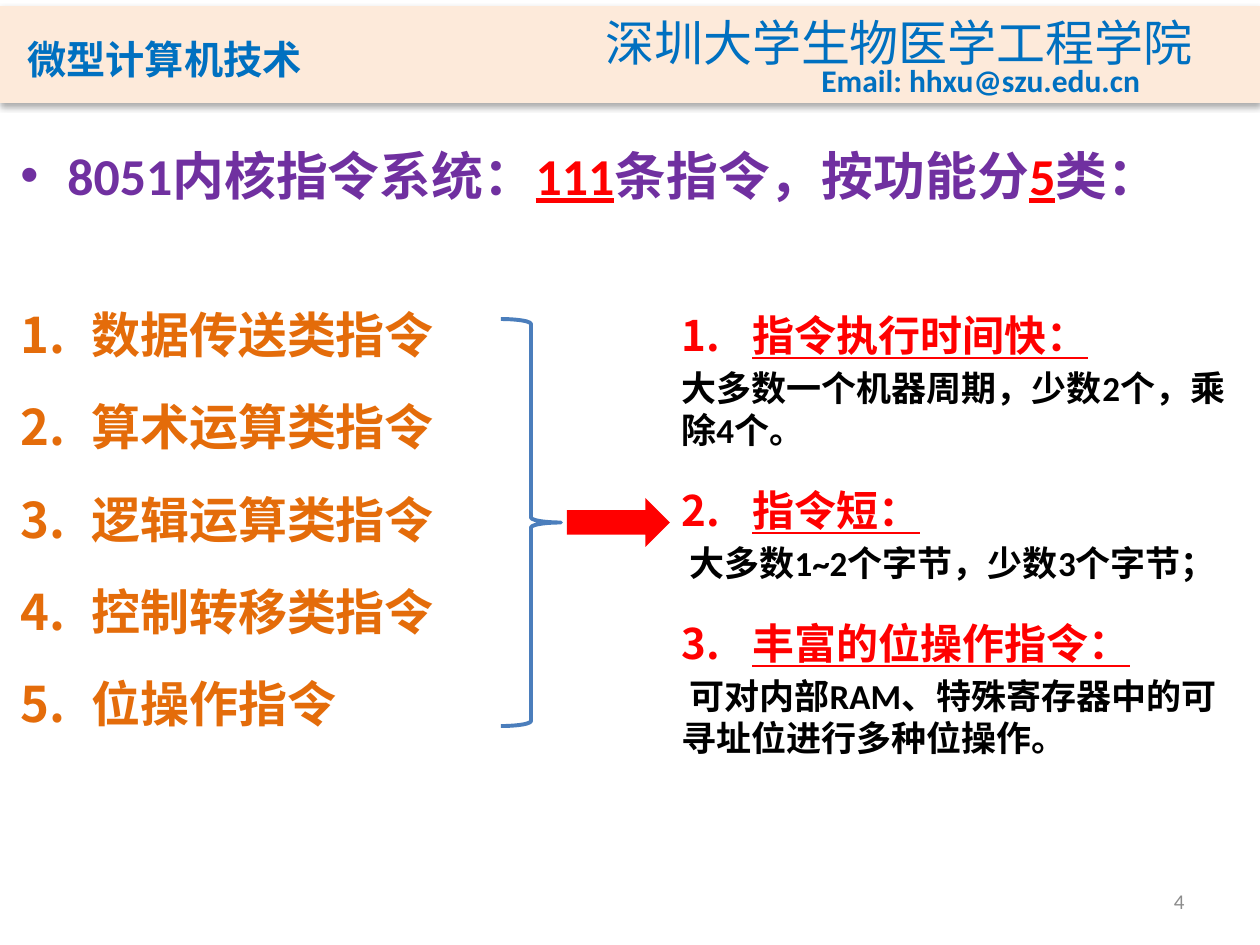
from lxml import etree
from pptx import Presentation
from pptx import util as u
from pptx.dml.color import RGBColor
from pptx.enum import shapes, text
from pptx.oxml import parse_xml
from pptx.oxml.ns import nsdecls, qn

PX = 914400 / 126
COLORS = {
    "band": "FDEADA", "blue": "0070C0", "purple": "7030A0", "red": "FF0000",
    "orange": "E46C0A", "black": "000000", "gray": "8C8C8C", "brace": "4B7EBC",
}


def emu(*lengths):
    return [u.Emu(round(length * PX)) for length in lengths]


def write(para, content, size, color, font="Calibri", bold=True, underline=False,
          caps=None, align=None, spacing=None, before=0, indent=0, bullet=None, start=1):
    """Fill a paragraph; content is a string or (text, color, underline) spans."""
    if isinstance(content, str):
        content = [(content, color, underline)]
    for words, shade, underlined in content:
        span = para.add_run()
        span.text = words
        span.font.size = u.Pt(size)
        span.font.name = font
        span.font.bold = bold
        span.font.underline = underlined
        span.font.color.rgb = RGBColor.from_string(COLORS[shade])
        props = span._r.get_or_add_rPr()
        if font != "Calibri":
            etree.SubElement(props, qn("a:ea")).set("typeface", font)
        if caps:
            props.set("cap", caps)
    para.alignment = align
    para.line_spacing = spacing
    para.space_before = u.Pt(before)
    if bullet:
        props = para._p.get_or_add_pPr()
        margin = emu(indent)[0]
        props.set("marL", str(margin))
        props.set("indent", str(-margin))
        if bullet == "number":
            mark = etree.SubElement(props, qn("a:buAutoNum"), type="arabicPeriod")
            if start > 1:
                mark.set("startAt", str(start))
        else:
            etree.SubElement(props, qn("a:buFont"), typeface="Arial")
            etree.SubElement(props, qn("a:buChar"), char=bullet)


deck = Presentation()
deck.slide_width, deck.slide_height = emu(1260, 945)
page = deck.slides.add_slide(deck.slide_layouts[6])

# Header band
band = page.shapes.add_shape(shapes.MSO_SHAPE.RECTANGLE, *emu(0, 6, 1260, 97))
band.fill.solid()
band.fill.fore_color.rgb = RGBColor.from_string(COLORS["band"])
band.line.fill.background()
band._element.spPr.append(parse_xml(
    f'<a:effectLst {nsdecls("a")}><a:outerShdw blurRad="44450" dist="27940" '
    'dir="5400000" rotWithShape="0"><a:srgbClr val="000000"><a:alpha val="32000"/>'
    '</a:srgbClr></a:outerShdw></a:effectLst>'))

# Single-line texts
NO_FIT, GROW = text.MSO_AUTO_SIZE.NONE, text.MSO_AUTO_SIZE.SHAPE_TO_FIT_TEXT
TOP, MIDDLE, BOTTOM = text.MSO_ANCHOR.TOP, text.MSO_ANCHOR.MIDDLE, text.MSO_ANCHOR.BOTTOM
heading = [
    ("8051内核指令系统：", "purple", False), ("111", "red", True),
    ("条指令，按功能分", "purple", False), ("5", "red", True), ("类：", "purple", False),
]
lines = [
    ((15, 20, 427, 71), BOTTOM, NO_FIT, "微型计算机技术",
     dict(size=28, color="blue", font="Noto Sans CJK JP", caps="small")),
    ((593, 6, 619, 72), TOP, GROW, "深圳大学生物医学工程学院",
     dict(size=28, color="blue", font="Noto Sans CJK SC", bold=False)),
    ((809, 55, 346, 50), TOP, GROW, "Email: hhxu@szu.edu.cn", dict(size=18, color="blue")),
    ((8, 106, 1186, 118), TOP, NO_FIT, heading,
     dict(size=29.6, color="purple", spacing=1.5, before=5.9, indent=47, bullet="•")),
    ((903, 876, 294, 50), MIDDLE, NO_FIT, "4",
     dict(size=12, color="gray", bold=False, align=text.PP_ALIGN.RIGHT)),
]
for place, anchor, fit, content, style in lines:
    frame = page.shapes.add_textbox(*emu(*place)).text_frame
    frame.word_wrap = fit == NO_FIT
    frame.auto_size = fit
    frame.vertical_anchor = anchor
    write(frame.paragraphs[0], content, **style)

# Arrow and brace between the two lists
arrow = page.shapes.add_shape(shapes.MSO_SHAPE.RIGHT_ARROW, *emu(567, 498, 103, 49))
arrow.shadow.inherit = False
arrow.fill.solid()
arrow.fill.fore_color.rgb = RGBColor.from_string(COLORS["red"])
arrow.line.fill.background()

brace = page.shapes.add_shape(shapes.MSO_SHAPE.RIGHT_BRACE, *emu(501, 319, 60, 407))
brace.shadow.inherit = False
brace.fill.background()
brace.line.color.rgb = RGBColor.from_string(COLORS["brace"])
brace.line.width = u.Pt(2.25)

# Features on the right
features = [
    ("指令执行时间快：", "大多数一个机器周期，少数2个，乘除4个。"),
    ("指令短：", " 大多数1~2个字节，少数3个字节；"),
    ("丰富的位操作指令：", " 可对内部RAM、特殊寄存器中的可寻址位进行多种位操作。"),
]
frame = page.shapes.add_textbox(*emu(669, 278, 571, 486)).text_frame
frame.word_wrap = True
for number, (title, detail) in enumerate(features, 1):
    para = frame.paragraphs[0] if number == 1 else frame.add_paragraph()
    write(para, title, size=24, color="red", underline=True, spacing=1.5,
          before=4.8, indent=71, bullet="number", start=number)
    write(frame.add_paragraph(), detail, size=20, color="black", before=4)

# Instruction classes on the left
classes = ["数据传送类指令", "算术运算类指令", "逻辑运算类指令", "控制转移类指令", "位操作指令"]
frame = page.shapes.add_textbox(*emu(8, 275, 524, 491)).text_frame
frame.word_wrap = True
for number, name in enumerate(classes, 1):
    para = frame.paragraphs[0] if number == 1 else frame.add_paragraph()
    write(para, name, size=28, color="orange", spacing=1.4, before=5.6,
          indent=71, bullet="number")

deck.save("out.pptx")
